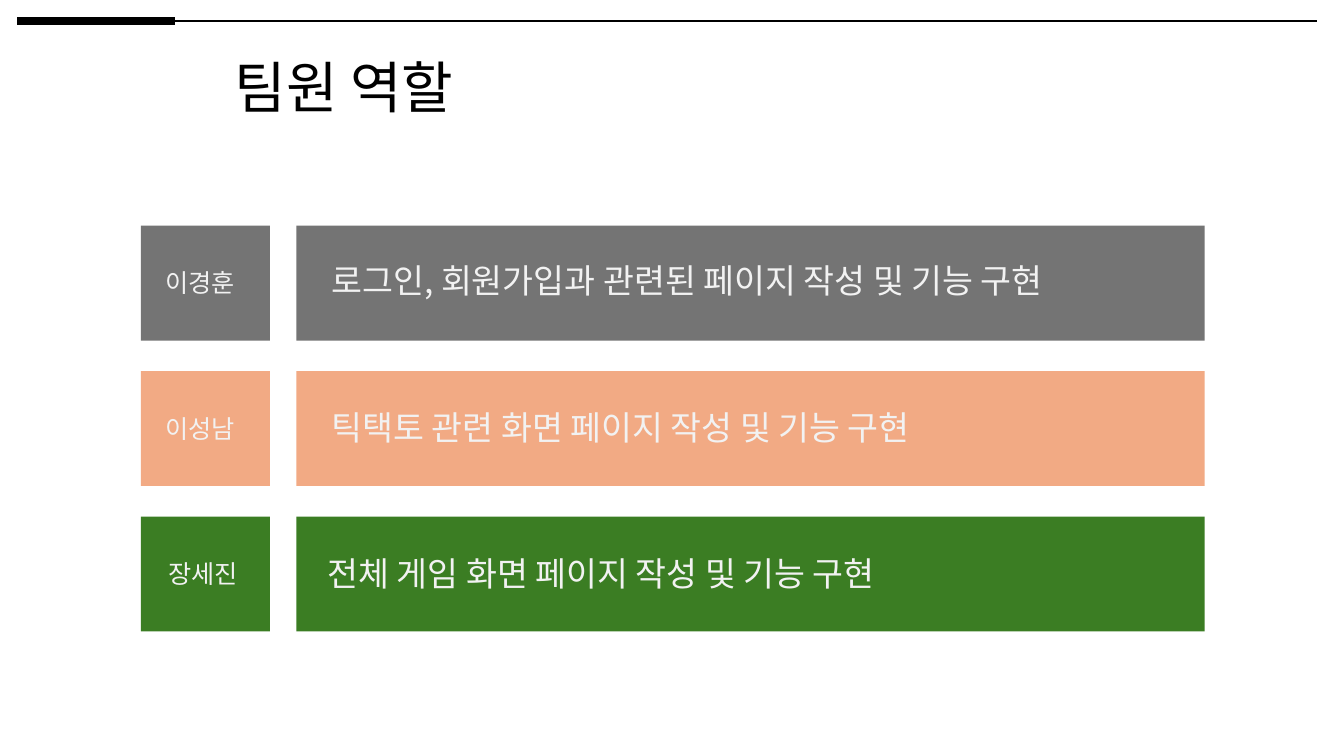
from dataclasses import dataclass

from lxml import etree
from pptx import Presentation
from pptx.dml.color import RGBColor
from pptx.enum import shapes, text
from pptx.oxml.ns import qn
from pptx.util import Pt


@dataclass(frozen=True)
class Theme:
    font: str = "Noto Sans CJK KR"
    ink: str = "000000"
    pale: str = "F2F2F2"
    gray: str = "747474"
    peach: str = "F2AA84"
    green: str = "3B7D23"
    title_size: int = 40
    duty_size: int = 24
    name_size: int = 18


theme = Theme()
deck = Presentation()
deck.slide_width, deck.slide_height = Pt(960), Pt(540)
page = deck.slides.add_slide(deck.slide_layouts[6])


def add_text(wording, left, top, width, height, size, color, align):
    box = page.shapes.add_textbox(Pt(left), Pt(top), Pt(width), Pt(height))
    box.text_frame.word_wrap = True
    box.text_frame.auto_size = text.MSO_AUTO_SIZE.SHAPE_TO_FIT_TEXT
    para = box.text_frame.paragraphs[0]
    para.alignment = align
    span = para.add_run()
    span.text = wording
    span.font.color.rgb = RGBColor.from_string(color)
    for key, value in {"name": theme.font, "size": Pt(size)}.items():
        setattr(span.font, key, value)
    # Hangul takes its typeface from the East Asian slot
    east_asian = etree.SubElement(span.font._element, qn("a:ea"))
    east_asian.set("typeface", theme.font)


# Header rule: a thick tab at the left, then a thin line
rule_y = 15
for start, end, weight in [(12.2, 125.2, 6), (105.8, 941, 1)]:
    rule = page.shapes.add_connector(
        shapes.MSO_CONNECTOR.STRAIGHT, Pt(start), Pt(rule_y), Pt(end), Pt(rule_y))
    rule.line.color.rgb = RGBColor.from_string(theme.ink)
    rule.line.width = Pt(weight)
    etree.SubElement(rule._element.spPr, qn("a:effectLst"))

add_text("팀원 역할", 136.8, 33.8, 218, 55.4, theme.title_size, theme.ink,
         text.PP_ALIGN.CENTER)

# One row per member: name tile and duty bar, with the text offsets inside them
first_top, row_pitch, row_height = 161.2, 103.9, 82.1
name_left, name_width = 100.7, 92.1
duty_left, duty_width = 211.7, 648.9
members = [
    ("이경훈", "로그인, 회원가입과 관련된 페이지 작성 및 기능 구현", theme.gray,
     (10.2, 26.5), (18, 21)),
    ("이성남", "틱택토 관련 화면 페이지 작성 및 기능 구현", theme.peach,
     (10.2, 26.5), (18, 22.3)),
    ("장세진", "전체 게임 화면 페이지 작성 및 기능 구현", theme.green,
     (12.3, 26.5), (15.1, 22.3)),
]
for row, (name, duty, color, name_offset, duty_offset) in enumerate(members):
    top = first_top + row * row_pitch
    for left, width in [(name_left, name_width), (duty_left, duty_width)]:
        tile = page.shapes.add_shape(
            shapes.MSO_SHAPE.RECTANGLE, Pt(left), Pt(top), Pt(width), Pt(row_height))
        tile.shadow.inherit = False
        tile.fill.solid()
        tile.fill.fore_color.rgb = RGBColor.from_string(color)
        tile.line.fill.background()
    for wording, left, offset, width, height, size in [
        (name, name_left, name_offset, 72, 29, theme.name_size),
        (duty, duty_left, duty_offset, 619, 36.3, theme.duty_size),
    ]:
        add_text(wording, left + offset[0], top + offset[1], width, height, size,
                 theme.pale, text.PP_ALIGN.LEFT)

deck.save("out.pptx")
